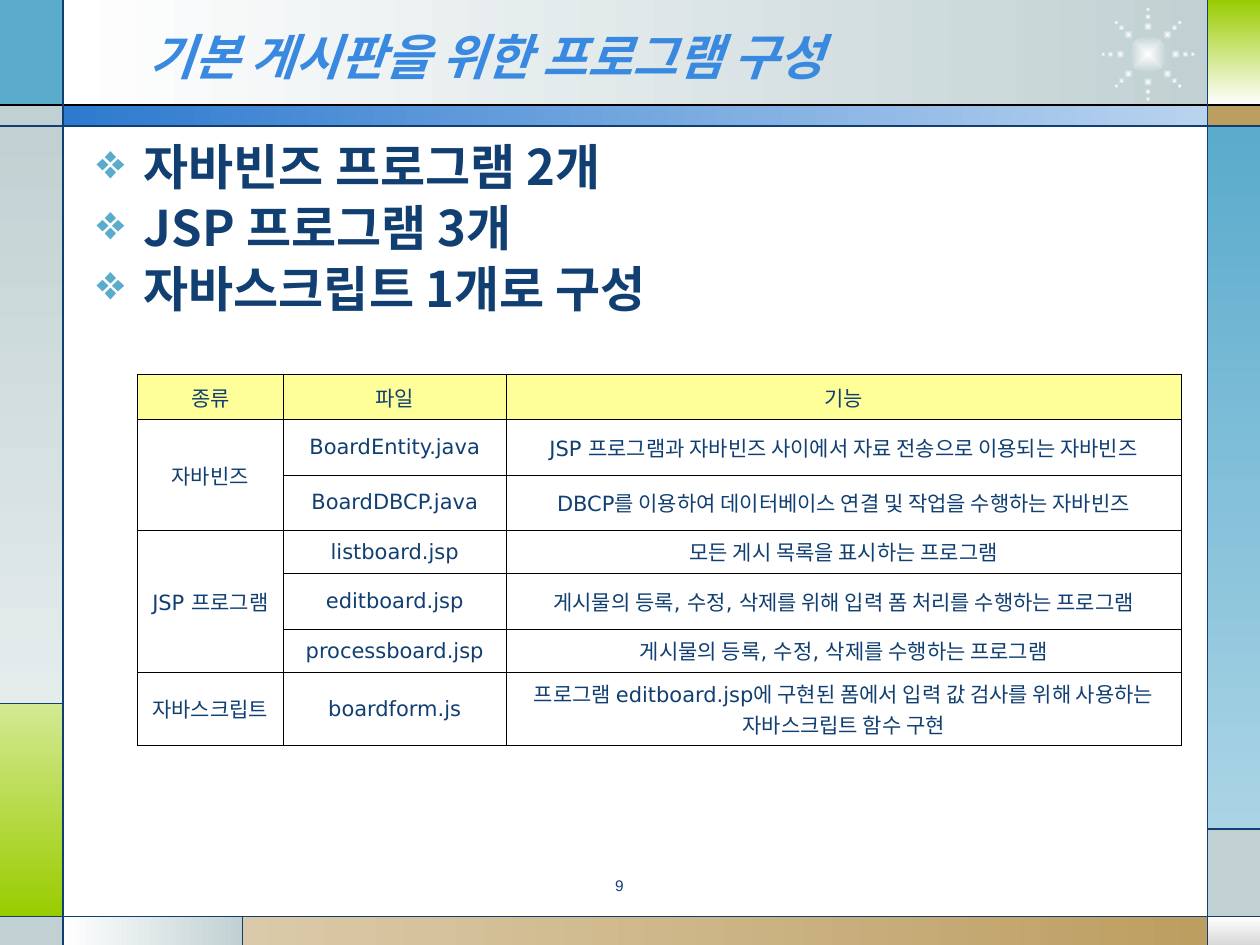
"""Build the slide that lists the programs of a basic message board."""
from math import cos, radians, sin

from lxml import etree
from pptx import Presentation
from pptx.dml.color import RGBColor
from pptx.enum.shapes import MSO_CONNECTOR, MSO_SHAPE
from pptx.enum.text import MSO_ANCHOR, PP_ALIGN
from pptx.oxml.ns import qn
from pptx.util import Pt

RECTANGLE, OVAL = MSO_SHAPE.RECTANGLE, MSO_SHAPE.OVAL
STRAIGHT = MSO_CONNECTOR.STRAIGHT
MIDDLE, CENTER = MSO_ANCHOR.MIDDLE, PP_ALIGN.CENTER

WHITE = RGBColor(0xFF, 0xFF, 0xFF)
BLACK = RGBColor(0x00, 0x00, 0x00)
NAVY = RGBColor(0x11, 0x3F, 0x71)
TITLE_BLUE = RGBColor(0x39, 0x89, 0xE1)
BAND_BLUE = RGBColor(0x2D, 0x7A, 0xCF)
PALE_BLUE = RGBColor(0xB9, 0xD3, 0xEF)
SKY = RGBColor(0x5A, 0xAB, 0xCC)
PALE_SKY = RGBColor(0xAA, 0xD4, 0xE5)
MIST = RGBColor(0xC1, 0xD1, 0xD3)
PALE_MIST = RGBColor(0xE5, 0xEC, 0xEC)
GREEN = RGBColor(0x99, 0xCC, 0x00)
PALE_GREEN = RGBColor(0xD4, 0xE9, 0x93)
TAN = RGBColor(0xBD, 0x9E, 0x61)
PALE_TAN = RGBColor(0xDB, 0xCA, 0xA9)
SILVER = RGBColor(0xD8, 0xD8, 0xD8)
YELLOW = RGBColor(0xFF, 0xFF, 0x99)

KOREAN_FONT = "Noto Sans CJK KR"
ACROSS, DOWN = 0, 270
WIDTH, HEIGHT = 720, 540
LEFT, RIGHT, HEADER, BAND, FOOTER = 36, 690, 60, 72, 523.6
GREEN_TOP, FOOTER_SPLIT, MIST_TOP = 402, 138.5, 473.8

PANELS = [
    (LEFT, 0, RIGHT, HEADER, (WHITE, MIST), ACROSS),
    (0, 0, LEFT, HEADER, (SKY,), None),
    (0, HEADER, LEFT, BAND, (MIST,), None),
    (0, BAND, LEFT, GREEN_TOP, (MIST, PALE_MIST), DOWN),
    (0, GREEN_TOP, LEFT, FOOTER, (PALE_GREEN, GREEN), DOWN),
    (0, FOOTER, LEFT, HEIGHT, (MIST,), None),
    (LEFT, FOOTER, FOOTER_SPLIT, HEIGHT, (WHITE, MIST), ACROSS),
    (FOOTER_SPLIT, FOOTER, RIGHT, HEIGHT, (PALE_TAN, TAN), ACROSS),
    (RIGHT, FOOTER, WIDTH, HEIGHT, (WHITE, SILVER), DOWN),
    (RIGHT, MIST_TOP, WIDTH, FOOTER, (MIST,), None),
    (RIGHT, BAND, WIDTH, MIST_TOP, (SKY, PALE_SKY), DOWN),
    (RIGHT, HEADER, WIDTH, BAND, (TAN,), None),
    (RIGHT, 0, WIDTH, HEADER, (GREEN, WHITE), DOWN),
    (LEFT, HEADER, RIGHT, BAND, (BAND_BLUE, PALE_BLUE), ACROSS),
]
RULES = [
    (0, HEADER, WIDTH, HEADER, BLACK),
    (0, BAND, WIDTH, BAND, NAVY),
    (0, FOOTER, WIDTH, FOOTER, NAVY),
    (LEFT, 0, LEFT, HEIGHT, NAVY),
    (RIGHT, 0, RIGHT, HEIGHT, NAVY),
    (0, GREEN_TOP, LEFT, GREEN_TOP, NAVY),
    (FOOTER_SPLIT, FOOTER, FOOTER_SPLIT, HEIGHT, NAVY),
    (RIGHT, MIST_TOP, WIDTH, MIST_TOP, NAVY),
]
BURST_CENTER = (656, 31)
BURST_CORE = 21.6
RAY_DOTS = [(15.8, 5), (21.4, 3.5), (25.6, 2.6)]

TITLE = "기본 게시판을 위한 프로그램 구성"
SUMMARY = ["자바빈즈 프로그램 2개", "JSP 프로그램 3개", "자바스크립트 1개로 구성"]
PROGRAMS = [
    ("종류", "파일", "기능"),
    ("자바빈즈", "BoardEntity.java",
     "JSP 프로그램과 자바빈즈 사이에서 자료 전송으로 이용되는 자바빈즈"),
    ("", "BoardDBCP.java", "DBCP를 이용하여 데이터베이스 연결 및 작업을 수행하는 자바빈즈"),
    ("JSP 프로그램", "listboard.jsp", "모든 게시 목록을 표시하는 프로그램"),
    ("", "editboard.jsp", "게시물의 등록, 수정, 삭제를 위해 입력 폼 처리를 수행하는 프로그램"),
    ("", "processboard.jsp", "게시물의 등록, 수정, 삭제를 수행하는 프로그램"),
    ("자바스크립트", "boardform.js",
     "프로그램 editboard.jsp에 구현된 폼에서 입력 값 검사를 위해 사용하는 자바스크립트 함수 구현"),
]
COLUMN_WIDTHS = [83.4, 127.4, 385.8]
ROW_HEIGHTS = [25.7, 31.7, 31.7, 24.6, 32, 24.6, 41.7]
KIND_SPANS = [(1, 2), (3, 5)]


def format_text(paragraph, size, color, font_name=KOREAN_FONT, bold=False, italic=False):
    """Format every run of a paragraph, with a Korean East Asian font."""
    for run in paragraph.runs:
        font = run.font
        font.size, font.name = Pt(size), font_name
        font.bold, font.italic = bold, italic
        font.color.rgb = color
        east_asian = etree.Element(qn("a:ea"), typeface=KOREAN_FONT)
        font._element.find(qn("a:latin")).addnext(east_asian)


def add_panel(slide, kind, left, top, right, bottom, colors, angle=None):
    """Add an unlined shape with a plain, linear or centred gradient fill."""
    panel = slide.shapes.add_shape(kind, Pt(left), Pt(top), Pt(right - left), Pt(bottom - top))
    panel.shadow.inherit = False
    panel.line.fill.background()
    if len(colors) == 1:
        panel.fill.solid()
        panel.fill.fore_color.rgb = colors[0]
        return
    panel.fill.gradient()
    for stop, color in zip(panel.fill.gradient_stops, colors):
        stop.color.rgb = color
    if angle is not None:
        panel.fill.gradient_angle = angle
        return
    linear = panel._element.spPr.find(qn("a:gradFill")).find(qn("a:lin"))
    centred = etree.Element(qn("a:path"), path="rect")
    etree.SubElement(centred, qn("a:fillToRect"), l="50000", t="50000", r="50000", b="50000")
    linear.getparent().replace(linear, centred)


def add_rule(slide, x1, y1, x2, y2, color):
    """Add a thin straight line without shadow."""
    rule = slide.shapes.add_connector(STRAIGHT, Pt(x1), Pt(y1), Pt(x2), Pt(y2))
    rule.line.color.rgb = color
    rule.line.width = Pt(0.75)
    etree.SubElement(rule._element.spPr, qn("a:effectLst"))


def add_glow(slide, x, y, size):
    """Add a glowing dot centred on a point."""
    half = size / 2
    add_panel(slide, OVAL, x - half, y - half, x + half, y + half, (WHITE, MIST))


def add_burst(slide):
    """Add the glowing core and its eight rays of dots."""
    x, y = BURST_CENTER
    add_glow(slide, x, y, BURST_CORE)
    for angle in range(0, 360, 45):
        for radius, size in RAY_DOTS:
            add_glow(slide, x + radius * cos(radians(angle)),
                     y + radius * sin(radians(angle)), size)


def set_title(slide):
    """Place the title in the header, above the panels."""
    title = slide.shapes.title
    slide.shapes._spTree.append(title._element)
    title.left, title.top, title.width, title.height = Pt(78), Pt(9.4), Pt(642), Pt(44.6)
    frame = title.text_frame
    frame.text = TITLE
    frame.vertical_anchor = MIDDLE
    frame.paragraphs[0].alignment = PP_ALIGN.LEFT
    format_text(frame.paragraphs[0], 28, TITLE_BLUE, bold=True, italic=True)


def add_text_box(slide, left, top, width, height, text):
    """Add a wrapping text box and return its paragraphs."""
    frame = slide.shapes.add_textbox(Pt(left), Pt(top), Pt(width), Pt(height)).text_frame
    frame.word_wrap = True
    frame.text = text
    return frame.paragraphs


def add_summary(slide):
    """Add the bulleted count of programs."""
    paragraphs = add_text_box(slide, 48.2, 78.5, 631.4, 130, "\n".join(SUMMARY))
    for index, paragraph in enumerate(paragraphs):
        paragraph.line_spacing = 0.9
        if index:
            paragraph.space_before = Pt(4.4)
        properties = paragraph._p.get_or_add_pPr()
        properties.set("marL", str(Pt(27)))
        properties.set("indent", str(-Pt(27)))
        bullet_color = etree.SubElement(properties, qn("a:buClr"))
        etree.SubElement(bullet_color, qn("a:srgbClr"), val=str(SKY))
        etree.SubElement(properties, qn("a:buChar"), char="❖")
        format_text(paragraph, 28, NAVY, bold=True)


def format_cell(cell, is_header):
    """Give a cell its borders, fill, margins and text format."""
    properties = cell._tc.get_or_add_tcPr()
    for side in ("a:lnL", "a:lnR", "a:lnT", "a:lnB"):
        border = etree.SubElement(properties, qn(side), w=str(Pt(0.45)))
        border_fill = etree.SubElement(border, qn("a:solidFill"))
        etree.SubElement(border_fill, qn("a:srgbClr"), val=str(BLACK))
    if is_header:
        cell.fill.solid()
        cell.fill.fore_color.rgb = YELLOW
    else:
        cell.fill.background()
    cell.margin_left = cell.margin_right = cell.margin_top = cell.margin_bottom = Pt(3.6)
    cell.vertical_anchor = MIDDLE
    paragraph = cell.text_frame.paragraphs[0]
    paragraph.alignment = CENTER
    format_text(paragraph, 12, NAVY, "DejaVu Sans")


def add_program_table(slide):
    """Add the table of program files and their functions."""
    table = slide.shapes.add_table(len(PROGRAMS), len(COLUMN_WIDTHS), Pt(78.5), Pt(214),
                                   Pt(sum(COLUMN_WIDTHS)), Pt(sum(ROW_HEIGHTS))).table
    table.first_row = table.horz_banding = False
    for column, width in zip(table.columns, COLUMN_WIDTHS):
        column.width = Pt(width)
    for row_index, (row, height, texts) in enumerate(zip(table.rows, ROW_HEIGHTS, PROGRAMS)):
        row.height = Pt(height)
        for cell, text in zip(row.cells, texts):
            cell.text_frame.text = text
            format_cell(cell, row_index == 0)
    for first, last in KIND_SPANS:
        table.cell(first, 0).merge(table.cell(last, 0))


def add_page_number(slide):
    """Add the page number at the foot."""
    number = add_text_box(slide, 270, 499, 167.8, 19.4, "9")[0]
    number.alignment = CENTER
    number.line_spacing = 0.8
    format_text(number, 8.8, NAVY, "Arial")


def main():
    """Build and save the slide."""
    presentation = Presentation()
    presentation.slide_width, presentation.slide_height = Pt(WIDTH), Pt(HEIGHT)
    slide = presentation.slides.add_slide(presentation.slide_layouts[5])
    for panel in PANELS:
        add_panel(slide, RECTANGLE, *panel)
    add_burst(slide)
    for rule in RULES:
        add_rule(slide, *rule)
    set_title(slide)
    add_summary(slide)
    add_page_number(slide)
    add_program_table(slide)
    presentation.save("out.pptx")


if __name__ == "__main__":
    main()
